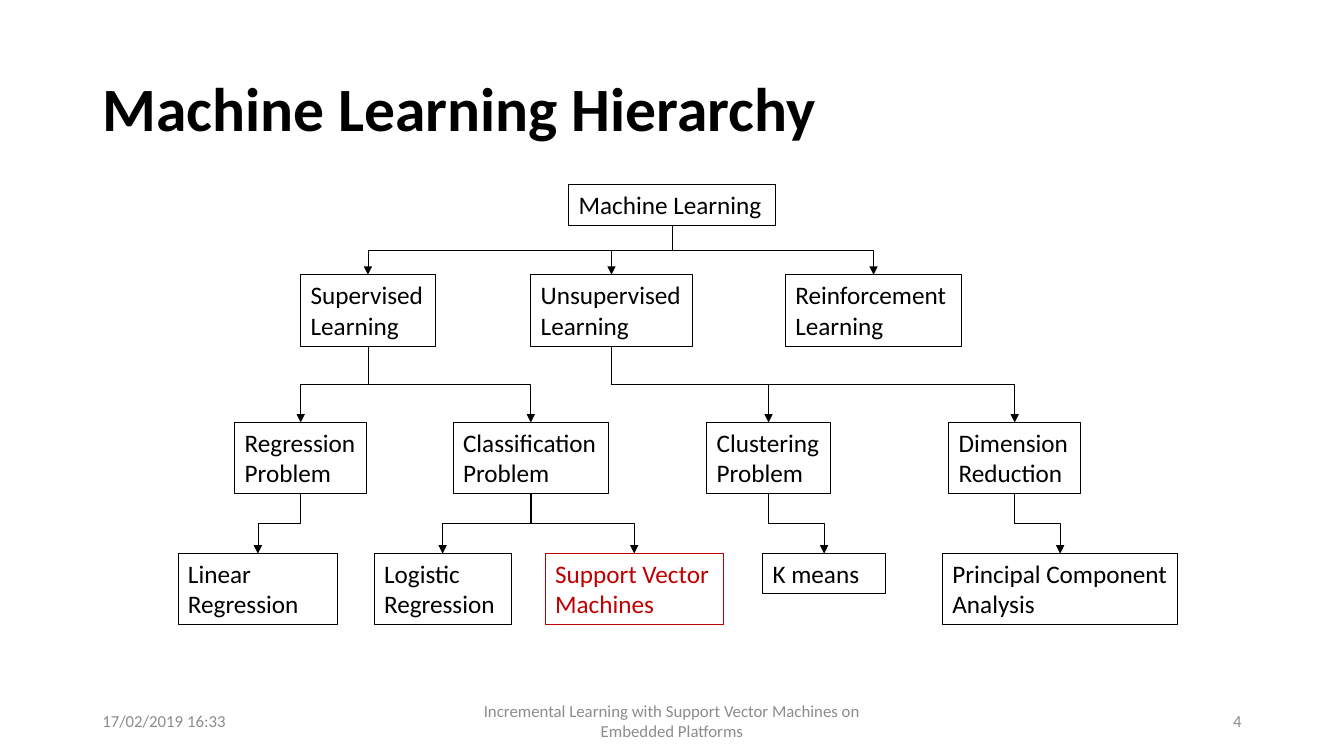
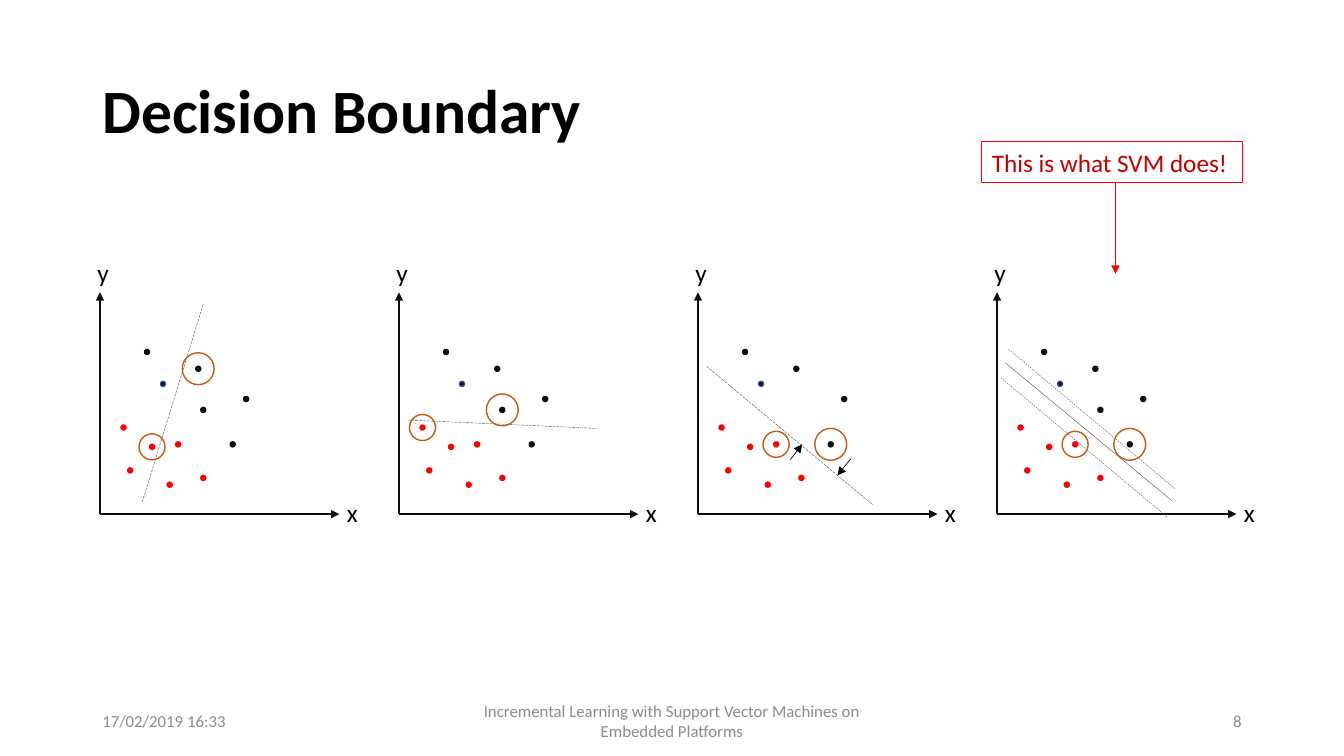
from dataclasses import dataclass

from pptx import Presentation
from pptx.dml.color import RGBColor
from pptx.enum.dml import MSO_LINE
from pptx.enum.shapes import MSO_CONNECTOR, MSO_SHAPE
from pptx.enum.text import MSO_ANCHOR, PP_ALIGN
from pptx.oxml.ns import qn
from pptx.util import Inches, Pt
from lxml.etree import SubElement


@dataclass(frozen=True)
class Theme:
    font: str = "Calibri"
    title_size: int = 44
    body_size: int = 18
    footer_size: int = 12
    text: str = "000000"
    footer: str = "8C8C8C"
    axis: str = "0D0D0D"
    boundary: str = "404040"
    accent: str = "C00000"
    red: str = "FF0000"
    blue: str = "325491"
    ring: str = "C55A11"


THEME = Theme()
COLUMNS, ROWS = 160, 90
CELL = Inches(1) / 12
DATE = "17/02/2019 16:33"
TALK = "Incremental Learning with Support Vector Machines on Embedded Platforms"


def cells(count):
    return round(count * CELL)


class Painter:
    """Draws on the current page; lengths are in grid cells."""

    def __init__(self, theme):
        self.theme = theme
        self.deck = Presentation()
        self.deck.slide_width = cells(COLUMNS)
        self.deck.slide_height = cells(ROWS)
        self.page = None

    def new_page(self, title, number, title_top):
        self.page = self.deck.slides.add_slide(self.deck.slide_layouts[6])
        heading = self.text(title, 11, title_top, 138, 17.4, self.theme.title_size)
        heading.font.bold = True
        heading.line_spacing = 0.9
        for words, left, width, align in (
            (DATE, 11, 36, PP_ALIGN.LEFT),
            (TALK, 53, 54, PP_ALIGN.CENTER),
            (str(number), 113, 36, PP_ALIGN.RIGHT),
        ):
            self.text(words, left, 83.4, width, 4.8, self.theme.footer_size,
                      self.theme.footer, align)

    def fill_text(self, shape, words, size, colour, align=PP_ALIGN.LEFT,
                  anchor=MSO_ANCHOR.MIDDLE):
        frame = shape.text_frame
        frame.word_wrap = True
        frame.vertical_anchor = anchor
        para = frame.paragraphs[0]
        para.text = words
        para.alignment = align
        para.font.name = self.theme.font
        para.font.size = Pt(size)
        para.font.color.rgb = RGBColor.from_string(colour)
        return para

    def text(self, words, left, top, width, height, size, colour=THEME.text,
             align=PP_ALIGN.LEFT):
        box = self.page.shapes.add_textbox(*map(cells, (left, top, width, height)))
        return self.fill_text(box, words, size, colour, align)

    def label(self, words, x, y):
        """Puts one letter centred on a point."""
        self.text(words, x - 1.5, y - 2.4, 3, 4.8, self.theme.body_size, align=PP_ALIGN.CENTER)

    def shape(self, kind, left, top, width, height, line, weight, fill=None):
        shape = self.page.shapes.add_shape(kind, *map(cells, (left, top, width, height)))
        shape.shadow.inherit = False
        if fill:
            shape.fill.solid()
            shape.fill.fore_color.rgb = RGBColor.from_string(fill)
        else:
            shape.fill.background()
        shape.line.color.rgb = RGBColor.from_string(line)
        shape.line.width = Pt(weight)
        return shape

    def box(self, words, centre, top, width, lines=2, line=THEME.text, colour=THEME.text):
        height = 4.8 if lines == 1 else 8.5
        box = self.shape(MSO_SHAPE.RECTANGLE, centre - width / 2, top, width, height, line, 0.75)
        self.fill_text(box, words, self.theme.body_size, colour, anchor=MSO_ANCHOR.TOP)
        return box

    def circle(self, x, y, size, line, fill=None):
        self.shape(MSO_SHAPE.OVAL, x - size / 2, y - size / 2, size, size, line, 1, fill)

    def style_line(self, connector, colour, weight, arrow, dash=None):
        connector.line.color.rgb = RGBColor.from_string(colour)
        connector.line.width = Pt(weight)
        if dash:
            connector.line.dash_style = dash
        properties = connector.element.spPr
        if arrow:
            SubElement(properties.find(qn("a:ln")), qn("a:tailEnd"), type="triangle")
        SubElement(properties, qn("a:effectLst"))

    def line(self, start, end, colour, weight, arrow=False, dash=None):
        connector = self.page.shapes.add_connector(
            MSO_CONNECTOR.STRAIGHT, *map(cells, (*start, *end)))
        self.style_line(connector, colour, weight, arrow, dash)

    def branch(self, parent, child):
        """Glues a down-across-down arrow between two boxes."""
        start_x, start_y = parent.left + parent.width // 2, parent.top + parent.height
        across = child.left + child.width // 2 - start_x
        down = child.top - start_y
        connector = self.page.shapes.add_connector(MSO_CONNECTOR.ELBOW, 0, 0, 0, 0)
        connector.begin_connect(parent, 2)
        connector.end_connect(child, 0)
        # The elbow preset starts sideways, so it is turned to start downwards.
        connector.left = start_x + (across - down) // 2
        connector.top = start_y + (down - abs(across)) // 2
        connector.width, connector.height = down, abs(across)
        turn = connector.element.spPr.xfrm
        turn.rot = 270 if across > 0 else 90
        turn.flipH, turn.flipV = across > 0, False
        self.style_line(connector, self.theme.text, 0.5, arrow=True)


# Name: (parent, level, centre column, width, text lines)
HIERARCHY = {
    "Machine Learning": (None, 0, 80, 24.6, 1),
    "Supervised Learning": ("Machine Learning", 1, 43.8, 16, 2),
    "Unsupervised Learning": ("Machine Learning", 1, 72.8, 19.2, 2),
    "Reinforcement Learning": ("Machine Learning", 1, 104, 21, 2),
    "Regression Problem": ("Supervised Learning", 2, 35.8, 15.7, 2),
    "Classification Problem": ("Supervised Learning", 2, 63.2, 18.5, 2),
    "Clustering Problem": ("Unsupervised Learning", 2, 91.5, 14.7, 2),
    "Dimension Reduction": ("Unsupervised Learning", 2, 120.8, 15.7, 2),
    "Linear Regression": ("Regression Problem", 3, 30.7, 19, 2),
    "Logistic Regression": ("Classification Problem", 3, 52.7, 16.3, 2),
    "Support Vector Machines": ("Classification Problem", 3, 75.5, 21.2, 2),
    "K means": ("Clustering Problem", 3, 98.1, 14.6, 1),
    "Principal Component Analysis": ("Dimension Reduction", 3, 126.2, 28, 2),
}
LEVEL_TOPS = (22, 32.7, 50.3, 65.9)
HIGHLIGHT = "Support Vector Machines"

# Points of the plots: columns right of and rows above the origin
BLUE_POINT = (7.5, 15.5)
BLACK_POINTS = [(5.6, 19.3), (11.7, 17.3), (12.3, 12.4), (17.4, 13.7), (15.8, 8.3)]
RED_POINTS = [(9.3, 8.3), (2.8, 10.3), (3.6, 5.2), (8.3, 3.5), (12.3, 4.3), (6.2, 8)]
TOP, MIDDLE, LOW = BLACK_POINTS[1], BLACK_POINTS[2], BLACK_POINTS[4]
RIGHT, LEFT, INNER = RED_POINTS[0], RED_POINTS[1], RED_POINTS[5]


@dataclass(frozen=True)
class Plot:
    black_ringed: tuple
    red_ringed: tuple
    boundaries: tuple
    arrows: tuple = ()
    missing: tuple = ()


PLOTS = (
    Plot(TOP, INNER, (((12.3, 25), (5, 1.3), MSO_LINE.LONG_DASH),)),
    Plot(MIDDLE, LEFT, (((1, 11.2), (23.5, 10.2), MSO_LINE.LONG_DASH),)),
    Plot(LOW, RIGHT, (((1, 17.6), (20.8, 1.1), MSO_LINE.LONG_DASH),),
         arrows=(((18.2, 6.6), (16.6, 4.6)), ((11, 6.5), (12.4, 8.3))),
         missing=(MIDDLE,)),
    Plot(LOW, RIGHT, (((1, 18), (20.8, 1.6), None),
                      ((1.4, 19.6), (21.2, 3), MSO_LINE.DASH),
                      ((0.5, 16.2), (20.3, -0.4), MSO_LINE.DASH))),
)
FIRST_ORIGIN, PLOT_STEP, ORIGIN_ROW = 11.9, 35.6, 61.2


def draw_hierarchy(painter):
    painter.new_page("Machine Learning Hierarchy", 4, 4.6)
    boxes = {}
    for name, (_, level, centre, width, lines) in HIERARCHY.items():
        colour = THEME.accent if name == HIGHLIGHT else THEME.text
        boxes[name] = painter.box(name, centre, LEVEL_TOPS[level], width, lines, colour, colour)
    for name, (parent, *_) in HIERARCHY.items():
        if parent:
            painter.branch(boxes[parent], boxes[name])


def draw_plot(painter, plot, origin_column):
    def at(point):
        return origin_column + point[0], ORIGIN_ROW - point[1]

    for tip in ((0, 26.4), (28.5, 0)):
        painter.line(at((0, 0)), at(tip), THEME.axis, 1.5, arrow=True)
    painter.label("x", *at((29.7, 0.2)))
    painter.label("y", *at((0, 28.8)))
    for start, end, dash in plot.boundaries:
        painter.line(at(start), at(end), THEME.boundary, 0.25, dash=dash)
    for start, end in plot.arrows:
        painter.line(at(start), at(end), THEME.text, 0.5, arrow=True)
    for points, line, fill in (
        (BLACK_POINTS, THEME.axis, THEME.axis),
        ([BLUE_POINT], THEME.blue, THEME.axis),
        (RED_POINTS, THEME.red, THEME.red),
    ):
        for point in points:
            if point not in plot.missing:
                painter.circle(*at(point), 0.6, line, fill)
    painter.circle(*at(plot.black_ringed), 3.8, THEME.ring)
    painter.circle(*at(plot.red_ringed), 3.1, THEME.ring)


def draw_decision_boundary(painter):
    painter.new_page("Decision Boundary", 8, 4.8)
    for index, plot in enumerate(PLOTS):
        draw_plot(painter, plot, FIRST_ORIGIN + index * PLOT_STEP)
    painter.box("This is what SVM does!", 132.4, 16.9, 31, 1, THEME.red, THEME.accent)
    painter.line((132.8, 21.7), (132.8, 32.6), THEME.red, 0.5, arrow=True)


def main():
    painter = Painter(THEME)
    draw_hierarchy(painter)
    draw_decision_boundary(painter)
    painter.deck.save("out.pptx")


if __name__ == "__main__":
    main()
